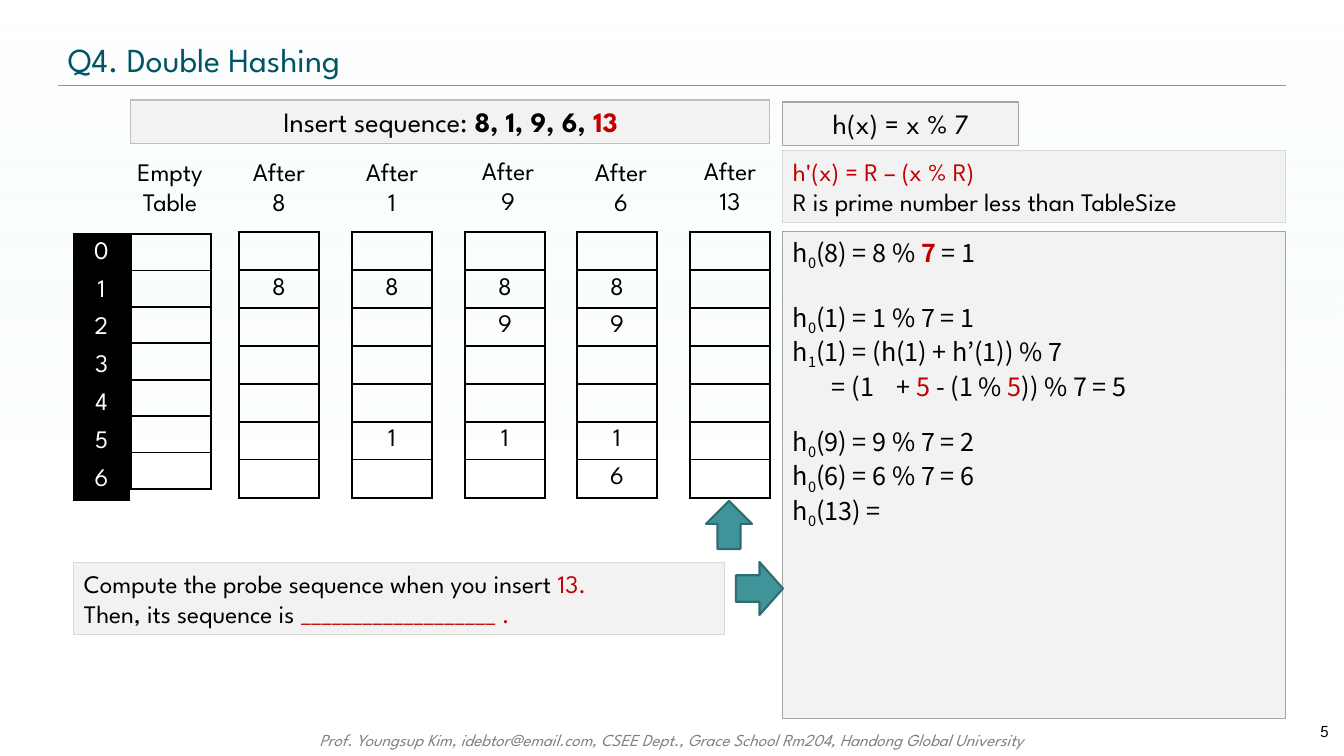
from pptx import Presentation
from pptx.dml.color import RGBColor
from pptx.enum.shapes import MSO_CONNECTOR as CONN, MSO_SHAPE as SHAPE
from pptx.enum.text import MSO_ANCHOR as ANCHOR, PP_ALIGN as ALIGN
from pptx.oxml.ns import qn
from pptx.util import Emu, Pt
from lxml.etree import SubElement

BLACK = RGBColor(0x00, 0x00, 0x00)
WHITE = RGBColor(0xFF, 0xFF, 0xFF)
RED = RGBColor(0xC0, 0x00, 0x00)
GRAY = RGBColor(0x80, 0x80, 0x80)
PANEL = RGBColor(0xF2, 0xF2, 0xF2)
EDGE_DARK = RGBColor(0xA6, 0xA6, 0xA6)
EDGE_MID = RGBColor(0xBF, 0xBF, 0xBF)
EDGE_LIGHT = RGBColor(0xD9, 0xD9, 0xD9)
TITLE = RGBColor(0x00, 0x54, 0x66)
RULE = RGBColor(0x4F, 0xAD, 0xD1)
TEAL = RGBColor(0x3F, 0x94, 0x9A)
TEAL_DARK = RGBColor(0x2F, 0x6D, 0x72)
MIST = RGBColor(0xD9, 0xF3, 0xF4)

SPARTAN = "League Spartan"
NOTO = "Noto Sans CJK KR"


def px(n):
    return Emu(round(n * 914400 / 100.8))


def add_run(p, text, size=18, color=BLACK, font=SPARTAN, bold=False, italic=False, base=0):
    r = p.add_run()
    r.text = text
    r.font.size = Pt(size)
    r.font.name = font
    r.font.bold = bold
    r.font.italic = italic
    r.font.color.rgb = color
    if base:
        r.font._element.set("baseline", str(base * 1000))


class Deck:
    def __init__(self, prs):
        self.s = prs.slides.add_slide(prs.slide_layouts[6])

    def put_lines(self, tf, lines, align=ALIGN.LEFT, anchor=ANCHOR.TOP, gaps=None, **fmt):
        tf.word_wrap = True
        tf.vertical_anchor = anchor
        for i, line in enumerate(lines):
            p = tf.paragraphs[0] if i == 0 else tf.add_paragraph()
            p.alignment = align
            if gaps and i in gaps:
                p.space_before = Pt(gaps[i])
            for part in [line] if isinstance(line, str) else line:
                text, extra = (part, {}) if isinstance(part, str) else part
                add_run(p, text, **{**fmt, **extra})

    def text(self, box, lines, **fmt):
        sp = self.s.shapes.add_textbox(*map(px, box))
        self.put_lines(sp.text_frame, lines, **fmt)

    def shape(self, kind, box, fill, line, width=0.75, turn=0):
        sp = self.s.shapes.add_shape(kind, *map(px, box))
        sp.shadow.inherit = False
        sp.fill.solid()
        sp.fill.fore_color.rgb = fill
        sp.line.color.rgb = line
        sp.line.width = Pt(width)
        sp.rotation = turn
        return sp

    def panel(self, box, edge, lines, **fmt):
        sp = self.shape(SHAPE.RECTANGLE, box, PANEL, edge)
        self.put_lines(sp.text_frame, lines, **fmt)
        return sp

    def rule(self, x1, x2, y):
        c = self.s.shapes.add_connector(CONN.STRAIGHT, px(x1), px(y), px(x2), px(y))
        c.line.color.rgb = RULE
        c.line.width = Pt(0.25)
        SubElement(c._element.spPr, qn("a:effectLst"))

    def backdrop(self):
        sp = self.s.shapes.add_shape(SHAPE.RECTANGLE, 0, 0, px(1344), px(756))
        sp.shadow.inherit = False
        sp.line.fill.background()
        sp.fill.gradient()
        sp.fill.gradient_angle = 270
        stops = zip(sp.fill.gradient_stops, ((0, MIST), (0.61, WHITE)))
        for stop, (pos, color) in stops:
            stop.position = pos
            stop.color.rgb = color
        colors = sp._element.spPr.iter(qn("a:srgbClr"))
        for color, alpha in zip(list(colors), (0, 40000)):
            SubElement(color, qn("a:alpha")).set("val", str(alpha))

    def border(self, cell, row):
        tcPr = cell._tc.get_or_add_tcPr()
        thin = (1, 6)
        widths = {"L": 1.5, "R": 1.5, "T": 1 if row in thin else 1.5,
                  "B": 1 if row + 1 in thin else 1.5}
        for side, width in widths.items():
            ln = SubElement(tcPr, qn("a:ln" + side))
            ln.set("w", str(Pt(width)))
            fill = SubElement(ln, qn("a:solidFill"))
            SubElement(fill, qn("a:srgbClr")).set("val", str(BLACK))

    def column(self, x, y, w, values, row_h=38, color=BLACK, fill=None):
        frame = self.s.shapes.add_table(7, 1, px(x), px(y), px(w), px(row_h * 7))
        tbl = frame.table
        tbl.first_row = tbl.horz_banding = False
        for i, row in enumerate(tbl.rows):
            row.height = px(row_h)
            cell = row.cells[0]
            cell.margin_left = cell.margin_right = 0
            cell.margin_top = cell.margin_bottom = 0
            cell.vertical_anchor = ANCHOR.MIDDLE
            self.border(cell, i)
            if fill is None:
                cell.fill.background()
            else:
                cell.fill.solid()
                cell.fill.fore_color.rgb = fill
            if i in values:
                p = cell.text_frame.paragraphs[0]
                p.alignment = ALIGN.CENTER
                add_run(p, values[i], color=color)


def probe(step, rest):
    return ["h", (str(step), {"base": -25}), *rest]


def add_tabs(p, stops):
    tabs = SubElement(p._p.get_or_add_pPr(), qn("a:tabLst"))
    for stop in stops:
        tab = SubElement(tabs, qn("a:tab"))
        tab.set("pos", str(px(stop)))
        tab.set("algn", "l")


def main():
    prs = Presentation()
    prs.slide_width, prs.slide_height = px(1344), px(756)
    d = Deck(prs)
    red = {"color": RED}

    d.backdrop()
    d.text((200, 725, 944, 30),
           ["Prof. Youngsup Kim, idebtor@email.com, CSEE Dept., Grace School Rm204, "
            "Handong Global University"],
           align=ALIGN.CENTER, size=12, color=GRAY, italic=True)
    d.rule(58, 1286, 85)
    d.text((58, 34, 1228, 50), ["Q4. Double Hashing"],
           anchor=ANCHOR.MIDDLE, size=24, color=TITLE)
    d.text((1221, 711, 118, 40), ["5"], align=ALIGN.RIGHT, anchor=ANCHOR.MIDDLE, size=12)

    d.column(131, 234, 80, {}, row_h=36.5)
    d.text((121, 151, 98, 72), ["Empty", "Table"], align=ALIGN.CENTER)
    inserts = [
        ("8", 239, 239, 151, {1: "8"}),
        ("1", 352, 352, 151, {1: "8", 5: "1"}),
        ("9", 465, 468, 150, {1: "8", 2: "9", 5: "1"}),
        ("6", 577, 581, 151, {1: "8", 2: "9", 5: "1", 6: "6"}),
        ("13", 690, 690, 150, {}),
    ]
    for key, x, label_x, label_y, values in inserts:
        d.column(x, 232, 80, values)
        d.text((label_x, label_y, 80, 72), ["After", key], align=ALIGN.CENTER)
    d.column(74, 234, 55, {i: str(i) for i in range(7)}, color=WHITE, fill=BLACK)

    d.panel((131, 100, 639, 44), EDGE_MID,
            [["Insert sequence: ", ("8, 1, 9, 6, ", {"bold": True}),
              ("13", {"bold": True, **red})]],
            align=ALIGN.CENTER, size=20)
    work = d.panel((783, 232, 503, 487), EDGE_DARK, [
        probe(0, ["(8) = 8 % ", ("7", {"bold": True, **red}), " = 1"]),
        probe(0, ["(1) = 1 % 7 = 1"]),
        probe(1, ["(1) = (h(1) + h’(1)) % 7"]),
        ["\t= (1\t+ ", ("5", red), " - (1 % ", ("5", red), ")) % 7 = 5"],
        probe(0, ["(9) = 9 % 7 = 2"]),
        probe(0, ["(6) = 6 % 7 = 6"]),
        probe(0, ["(13) ="]),
    ], gaps={1: 22, 4: 18}, font=NOTO)
    add_tabs(work.text_frame.paragraphs[3], (39, 104))

    d.panel((783, 102, 236, 44), EDGE_DARK, ["h(x) = x % 7"], align=ALIGN.CENTER, size=20)
    d.panel((783, 151, 503, 72), EDGE_LIGHT,
            [[("h'(x) = R – (x % R)", red)], "R is prime number less than TableSize"])
    d.panel((74, 563, 651, 72), EDGE_LIGHT, [
        ["Compute the probe sequence when you insert ", ("13.", red)],
        ["Then, its sequence is ", ("___________________ .", red)],
    ])
    d.shape(SHAPE.UP_ARROW, (706, 501, 46, 48), TEAL, TEAL_DARK, width=1.5)
    d.shape(SHAPE.UP_ARROW, (733, 565, 53, 47), TEAL, TEAL_DARK, width=1.5, turn=90)

    prs.save("out.pptx")


if __name__ == "__main__":
    main()
